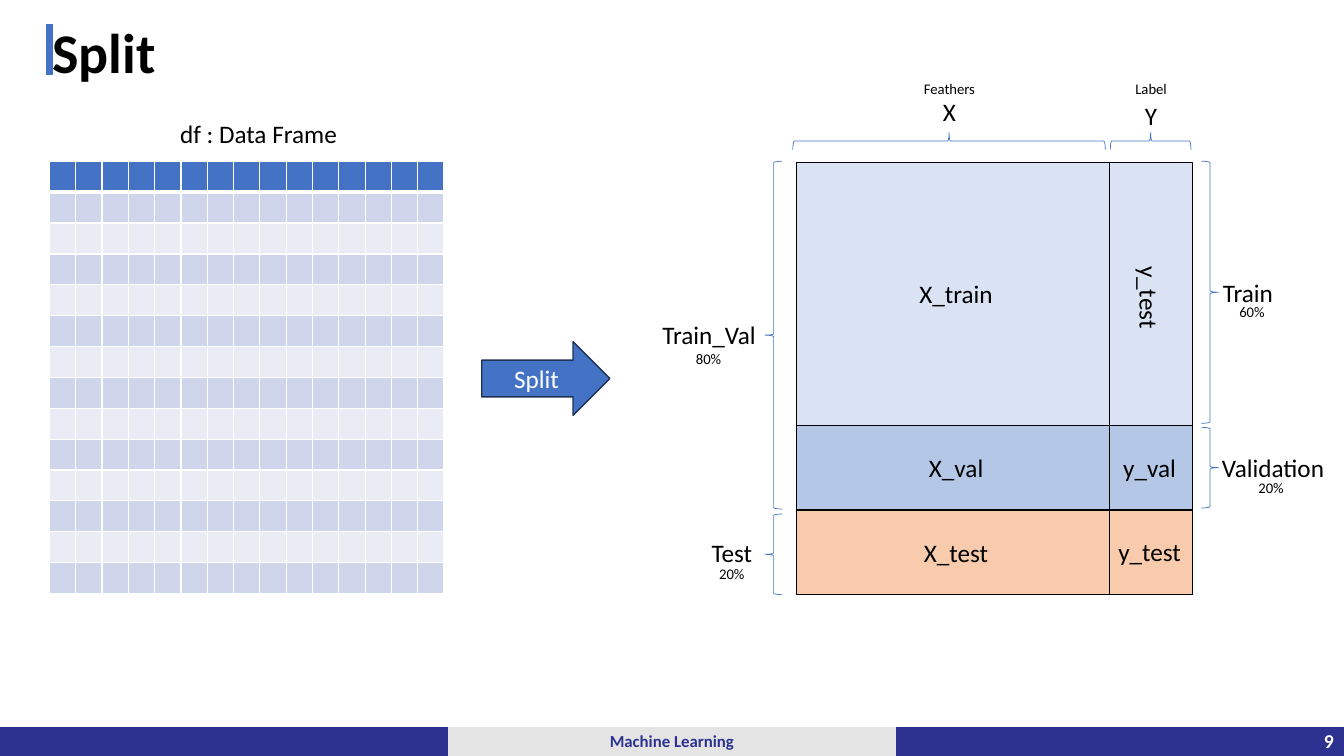
from dataclasses import dataclass

from lxml import etree
from pptx import Presentation
from pptx.dml.color import RGBColor
from pptx.enum import shapes, text
from pptx.oxml import ns
from pptx.util import Pt


@dataclass(frozen=True)
class Theme:
    font: str = "Calibri"
    title_size: float = 40
    body_size: float = 18
    page_size: float = 14
    footer_size: float = 12
    small_size: float = 10.5
    black: str = "000000"
    white: str = "FFFFFF"
    accent: str = "4472C4"
    arrow_edge: str = "1E3256"
    band_dark: str = "CFD5EA"
    band_light: str = "E9EBF5"
    train: str = "DAE3F3"
    validation: str = "B4C7E7"
    test: str = "F8CBAD"
    navy: str = "2D3291"
    grey: str = "E4E4E4"


THEME = Theme()
CENTER = text.PP_ALIGN.CENTER
RIGHT = text.PP_ALIGN.RIGHT
MIDDLE = text.MSO_ANCHOR.MIDDLE

SPLIT_LEFT, SPLIT_WIDTH = 568.8, 282.24
LABEL_LEFT, LABEL_WIDTH = 792.72, 59.04

SPLIT_BANDS = [
    (115.92, 308.88, THEME.train),
    (303.84, 60.48, THEME.validation),
    (364.32, 60.48, THEME.test),
]

BRACES = [
    (546.48, 115.2, 248.4, 0, False),
    (546.48, 367.2, 57.6, 0, False),
    (815.76, 72, 57.6, 90, False),
    (671.76, -10.8, 223.2, 90, False),
    (858.24, 305.28, 57.6, 0, True),
    (858.24, 115.2, 187.2, 0, True),
]

NAMES = [
    ("df : Data Frame", 118.8, 80.64, 131.76, 0),
    ("Train_Val", 460.8, 224.64, 91.44, 0),
    ("Test", 492.48, 380.16, 60.48, 0),
    ("Validation", 861.12, 319.68, 96.48, 0),
    ("Y", 792, 68.4, 60.48, 0),
    ("X", 648, 65.52, 60.48, 0),
    ("Train", 861.12, 194.4, 60.48, 0),
    ("X_train", 637.2, 195.12, 91.44, 0),
    ("y_test", 775.44, 198, 91.44, 90),
    ("X_val", 637.2, 319.68, 91.44, 0),
    ("y_val", 775.44, 319.68, 91.44, 0),
    ("X_test", 637.2, 380.16, 91.44, 0),
    ("y_test", 775.44, 379.44, 91.44, 0),
]

NOTES = [
    ("20%", 492.48, 399.6),
    ("20%", 877.68, 338.4),
    ("80%", 475.92, 246.24),
    ("60%", 864, 212.4),
    ("Feathers", 648, 53.28),
    ("Label", 792, 53.28),
]


def rgb(color):
    return RGBColor.from_string(color)


def write(text_frame, words, size, color, bold=False, align=CENTER):
    text_frame.text = words
    paragraph = text_frame.paragraphs[0]
    paragraph.alignment = align
    for run in paragraph.runs:
        run.font.name = THEME.font
        run.font.size = Pt(size)
        run.font.bold = bold
        run.font.color.rgb = rgb(color)


def add_title(slide, words):
    title = slide.shapes.title
    title.left, title.top = Pt(27.36), Pt(6.48)
    title.width, title.height = Pt(102.96), Pt(58.32)
    frame = title.text_frame
    write(frame, words, THEME.title_size, THEME.black, True)
    frame.auto_size = text.MSO_AUTO_SIZE.NONE
    frame.vertical_anchor = text.MSO_ANCHOR.BOTTOM
    frame.paragraphs[0].line_spacing = 0.9


def add_title_bar(slide):
    bar = slide.shapes.add_connector(
        shapes.MSO_CONNECTOR.STRAIGHT, Pt(35.28), Pt(17.28), Pt(35.28), Pt(53.28))
    bar.line.color.rgb = rgb(THEME.accent)
    bar.line.width = Pt(4.5)
    etree.SubElement(bar._element.spPr, ns.qn("a:effectLst"))


def add_label(slide, words, left, top, width, height, size, rotation=0):
    label = slide.shapes.add_textbox(Pt(left), Pt(top), Pt(width), Pt(height))
    label.rotation = rotation
    label.text_frame.word_wrap = True
    write(label.text_frame, words, size, THEME.black)


def add_shape(slide, kind, left, top, width, height, fill, edge, weight):
    shape = slide.shapes.add_shape(kind, Pt(left), Pt(top), Pt(width), Pt(height))
    shape.shadow.inherit = False
    if fill:
        shape.fill.solid()
        shape.fill.fore_color.rgb = rgb(fill)
    else:
        shape.fill.background()
    shape.line.color.rgb = rgb(edge)
    shape.line.width = Pt(weight)
    return shape


def add_brace(slide, left, top, height, rotation, mirrored):
    brace = add_shape(slide, shapes.MSO_SHAPE.LEFT_BRACE, left, top, 12.24, height,
                      None, THEME.accent, 0.5)
    brace.rotation = rotation
    if mirrored:
        brace._element.spPr.xfrm.set("flipH", "1")


def set_borders(cell, weights):
    properties = cell._tc.get_or_add_tcPr()
    for index, (side, weight) in enumerate(zip("LRTB", weights)):
        line = etree.Element(ns.qn(f"a:ln{side}"), w=str(Pt(weight)))
        if weight:
            fill = etree.SubElement(line, ns.qn("a:solidFill"))
            etree.SubElement(fill, ns.qn("a:srgbClr"), val=THEME.white)
        else:
            etree.SubElement(line, ns.qn("a:noFill"))
        properties.insert(index, line)


def add_table(slide, rows, columns, left, top, width, height):
    frame = slide.shapes.add_table(rows, columns, Pt(left), Pt(top), Pt(width), Pt(height))
    table = frame.table
    table.first_row = table.horz_banding = False
    for column in table.columns:
        column.width = Pt(width / columns)
    for row in table.rows:
        row.height = Pt(height / rows)
    return table


def style_cell(cell, fill, weights):
    cell.fill.solid()
    cell.fill.fore_color.rgb = rgb(fill)
    cell.margin_top = cell.margin_bottom = 0
    cell.vertical_anchor = MIDDLE
    set_borders(cell, weights)


def add_data_frame(slide):
    table = add_table(slide, 14, 15, 35.28, 115.2, 282.24, 308.88)
    for index, row in enumerate(table.rows):
        band = THEME.band_dark if index % 2 else THEME.band_light
        fill = band if index else THEME.accent
        weights = (1, 1, 3 if index == 1 else 1, 1 if index else 3)
        for cell in row.cells:
            style_cell(cell, fill, weights)
            paragraph = cell.text_frame.paragraphs[0]
            etree.SubElement(paragraph._p, ns.qn("a:endParaRPr"), sz="1000")


def add_footer(slide):
    table = add_table(slide, 1, 3, 0, 519.12, 960, 20.88)
    for cell, fill in zip(table.rows[0].cells, (THEME.navy, THEME.grey, THEME.navy)):
        style_cell(cell, fill, (0, 0, 0, 0))
    write(table.cell(0, 1).text_frame, "Machine Learning", THEME.footer_size, THEME.navy, True)
    write(table.cell(0, 2).text_frame, "9", THEME.page_size, THEME.white, True, RIGHT)
    etree.SubElement(table.cell(0, 0).text_frame.paragraphs[0]._p,
                     ns.qn("a:endParaRPr"), sz="1000")


def add_split_arrow(slide):
    arrow = add_shape(slide, shapes.MSO_SHAPE.RIGHT_ARROW, 344.16, 244.08, 91.44, 52.56,
                      THEME.accent, THEME.arrow_edge, 1)
    arrow.text_frame.vertical_anchor = MIDDLE
    write(arrow.text_frame, "Split", THEME.body_size, THEME.white)


def main():
    presentation = Presentation()
    presentation.slide_width, presentation.slide_height = Pt(960), Pt(540)
    slide = presentation.slides.add_slide(presentation.slide_layouts[5])
    add_data_frame(slide)
    add_footer(slide)
    add_title(slide, "Split ")
    add_title_bar(slide)
    for top, height, fill in SPLIT_BANDS:
        for left, width in ((SPLIT_LEFT, SPLIT_WIDTH), (LABEL_LEFT, LABEL_WIDTH)):
            add_shape(slide, shapes.MSO_SHAPE.RECTANGLE, left, top, width, height,
                      fill, THEME.black, 1)
    for brace in BRACES:
        add_brace(slide, *brace)
    for words, left, top, width, rotation in NAMES:
        add_label(slide, words, left, top, width, 28.8, THEME.body_size, rotation)
    for words, left, top in NOTES:
        add_label(slide, words, left, top, 60.48, 20.88, THEME.small_size)
    add_split_arrow(slide)
    presentation.save("out.pptx")


if __name__ == "__main__":
    main()
